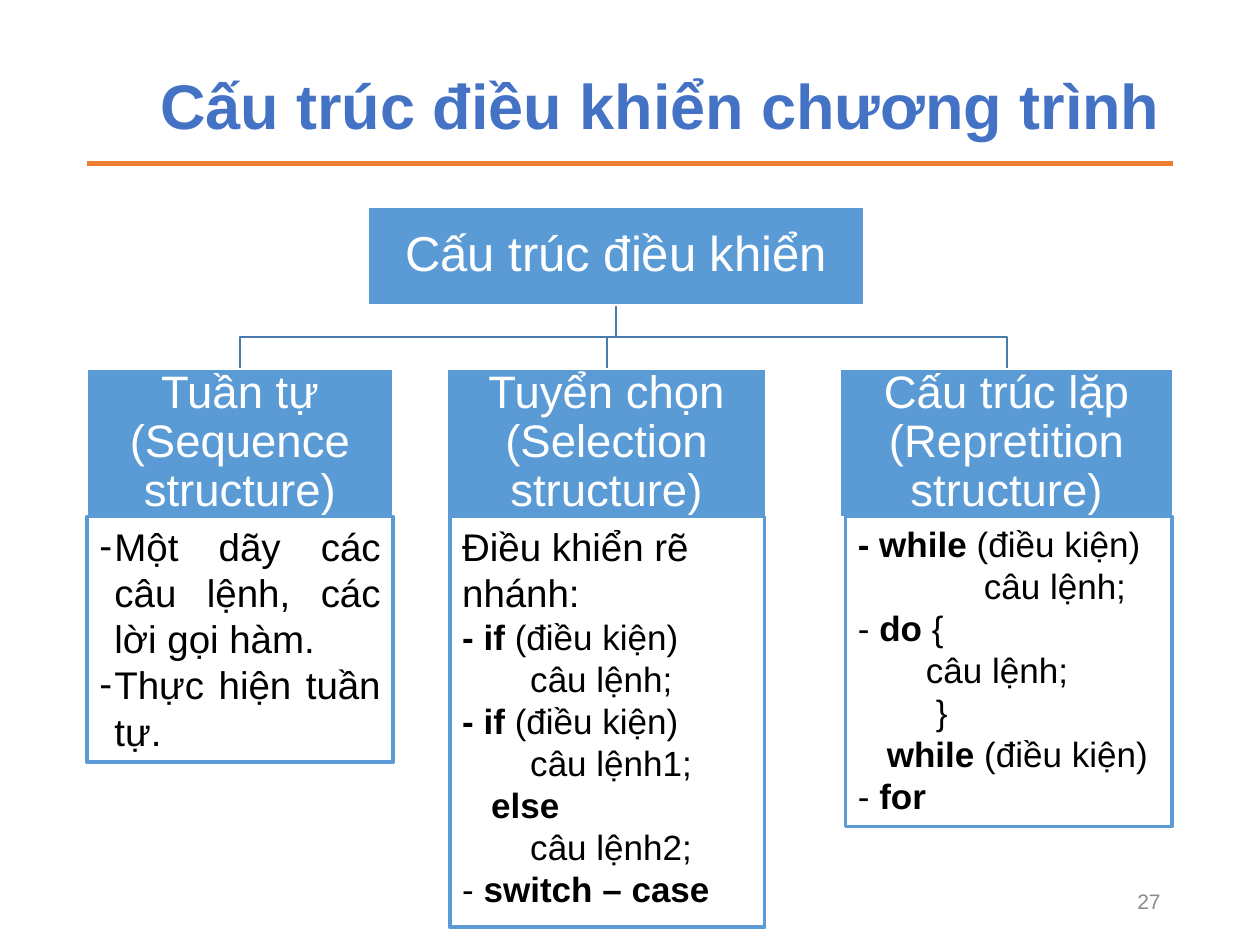
from dataclasses import dataclass

from lxml import etree
from pptx import Presentation
from pptx.dml.color import RGBColor
from pptx.enum.shapes import MSO_CONNECTOR, MSO_SHAPE
from pptx.enum.text import MSO_ANCHOR, PP_ALIGN
from pptx.oxml.ns import qn
from pptx.util import Inches, Pt

LEFT, CENTER, RIGHT, JUSTIFY = (
    PP_ALIGN.LEFT, PP_ALIGN.CENTER, PP_ALIGN.RIGHT, PP_ALIGN.JUSTIFY)
TOP, MIDDLE = MSO_ANCHOR.TOP, MSO_ANCHOR.MIDDLE
RECTANGLE, STRAIGHT = MSO_SHAPE.RECTANGLE, MSO_CONNECTOR.STRAIGHT

FONT = "Arial"
COLORS = {"title": "4472C4", "rule": "ED7D31", "box": "5B9BD5", "branch": "497CAB",
          "white": "FFFFFF", "black": "000000", "number": "8C8C8C"}

MARGIN_LEFT, MARGIN_RIGHT = 0.69, 9.31
ROOT_LEFT, ROOT_TOP, ROOT_WIDTH, ROOT_HEIGHT = 2.92, 1.64, 3.94, 0.78
HEAD_TOP, HEAD_HEIGHT = 2.93, 1.17
DETAIL_TOP = HEAD_TOP + HEAD_HEIGHT


@dataclass
class Line:
    """One paragraph; text between ** marks is bold."""
    text: str
    size: float = 20
    indent: float = 0
    bullet: str = ""
    align: PP_ALIGN = LEFT


@dataclass
class Branch:
    heading: str
    left: float
    width: float
    detail_left: float
    detail_width: float
    detail_height: float
    details: list[Line]


BRANCHES = [
    Branch("Tuần tự (Sequence structure)", 0.69, 2.43, 0.69, 2.43, 1.95, [
        Line("Một dãy các câu lệnh, các lời gọi hàm.", 22, 0.12, "-", JUSTIFY),
        Line("Thực hiện tuần tự.", 22, 0.12, "-", JUSTIFY),
    ]),
    Branch("Tuyển chọn (Selection structure)", 3.55, 2.53, 3.57, 2.5, 3.26, [
        Line("Điều khiển rẽ nhánh:", 22),
        Line("**- if **(điều kiện)"),
        Line("câu lệnh;", indent=0.54),
        Line("**- if **(điều kiện)"),
        Line("câu lệnh1;", indent=0.54),
        Line("**else**", indent=0.23),
        Line("câu lệnh2;", indent=0.54),
        Line("- **switch – case**"),
    ]),
    Branch("Cấu trúc lặp (Repretition structure)", 6.67, 2.64, 6.71, 2.59, 2.46, [
        Line("**- while** (điều kiện)"),
        Line("câu lệnh;", indent=1),
        Line("- **do** {"),
        Line("câu lệnh;", indent=0.54),
        Line("}", indent=0.62),
        Line("**while** (điều kiện)", indent=0.23),
        Line("- **for**"),
    ]),
]


def rgb(name: str) -> RGBColor:
    return RGBColor.from_string(COLORS[name])


def write(shape, lines: list[Line], *, color: str = "black", anchor=TOP,
          inset: tuple[float, float] = (0.1, 0.05), spacing: float = 1.0) -> None:
    frame = shape.text_frame
    frame.word_wrap = True
    frame.vertical_anchor = anchor
    frame.margin_left = frame.margin_right = Inches(inset[0])
    frame.margin_top = frame.margin_bottom = Inches(inset[1])
    for index, line in enumerate(lines):
        paragraph = frame.add_paragraph() if index else frame.paragraphs[0]
        paragraph.alignment = line.align
        paragraph.line_spacing = spacing
        paragraph.space_before = Pt(0)
        if line.indent:
            properties = paragraph._p.get_or_add_pPr()
            properties.set("marL", str(Inches(line.indent)))
            if line.bullet:
                properties.set("indent", str(-Inches(line.indent)))
                etree.SubElement(properties, qn("a:buFont"), typeface=FONT)
                etree.SubElement(properties, qn("a:buChar"), char=line.bullet)
        for part, text in enumerate(line.text.split("**")):
            if text:
                run = paragraph.add_run()
                run.text = text
                run.font.name = FONT
                run.font.size = Pt(line.size)
                run.font.bold = part % 2 == 1
                run.font.color.rgb = rgb(color)


def add_box(slide, left: float, top: float, width: float, height: float, *,
            fill: str = "", line: str, line_width: float):
    box = slide.shapes.add_shape(
        RECTANGLE, Inches(left), Inches(top), Inches(width), Inches(height))
    box.shadow.inherit = False
    if fill:
        box.fill.solid()
        box.fill.fore_color.rgb = rgb(fill)
    else:
        box.fill.background()
    box.line.color.rgb = rgb(line)
    box.line.width = Pt(line_width)
    return box


def add_heading(slide, text: str, size: float, left: float, top: float,
                width: float, height: float) -> None:
    box = add_box(slide, left, top, width, height,
                  fill="box", line="white", line_width=1)
    write(box, [Line(text, size, align=CENTER)], color="white", anchor=MIDDLE,
          inset=(0.02, 0.02), spacing=0.9)


def add_elbow(slide, end_x: float) -> None:
    start_x, start_y = ROOT_LEFT + ROOT_WIDTH / 2, ROOT_TOP + ROOT_HEIGHT
    bend_y = (start_y + HEAD_TOP) / 2
    corners = [(start_x, bend_y), (end_x, bend_y), (end_x, HEAD_TOP)]
    builder = slide.shapes.build_freeform(Inches(start_x), Inches(start_y))
    builder.add_line_segments([(Inches(x), Inches(y)) for x, y in corners], close=False)
    elbow = builder.convert_to_shape()
    elbow.shadow.inherit = False
    elbow.fill.background()
    elbow.line.color.rgb = rgb("branch")
    elbow.line.width = Pt(1)


def main() -> None:
    deck = Presentation()
    deck.slide_width, deck.slide_height = Inches(10), Inches(7.5)
    slide = deck.slides.add_slide(deck.slide_layouts[5])

    # Title and the rule under it
    title = slide.shapes.title
    title.left, title.top = Inches(MARGIN_LEFT), Inches(0.53)
    title.width, title.height = Inches(MARGIN_RIGHT - MARGIN_LEFT), Inches(0.68)
    write(title, [Line("**Cấu trúc điều khiển chương trình**", 36, align=RIGHT)],
          color="title", anchor=MIDDLE, spacing=0.9)
    rule = slide.shapes.add_connector(
        STRAIGHT, Inches(MARGIN_LEFT), Inches(1.3), Inches(MARGIN_RIGHT), Inches(1.3))
    rule.line.color.rgb = rgb("rule")
    rule.line.width = Pt(2.75)
    etree.SubElement(rule._element.spPr, qn("a:effectLst"))

    # Tree: branch lines, root, headings and details
    for branch in BRANCHES:
        add_elbow(slide, branch.left + branch.width / 2)
    add_heading(slide, "Cấu trúc điều khiển", 28,
                ROOT_LEFT, ROOT_TOP, ROOT_WIDTH, ROOT_HEIGHT)
    for branch in BRANCHES:
        add_heading(slide, branch.heading, 26,
                    branch.left, HEAD_TOP, branch.width, HEAD_HEIGHT)
        detail = add_box(slide, branch.detail_left, DETAIL_TOP, branch.detail_width,
                         branch.detail_height, line="box", line_width=2)
        write(detail, branch.details)

    # Slide number
    number = slide.shapes.add_textbox(
        Inches(7.06), Inches(6.95), Inches(2.25), Inches(0.4))
    write(number, [Line("27", 12, align=RIGHT)], color="number", anchor=MIDDLE)

    deck.save("out.pptx")


if __name__ == "__main__":
    main()
